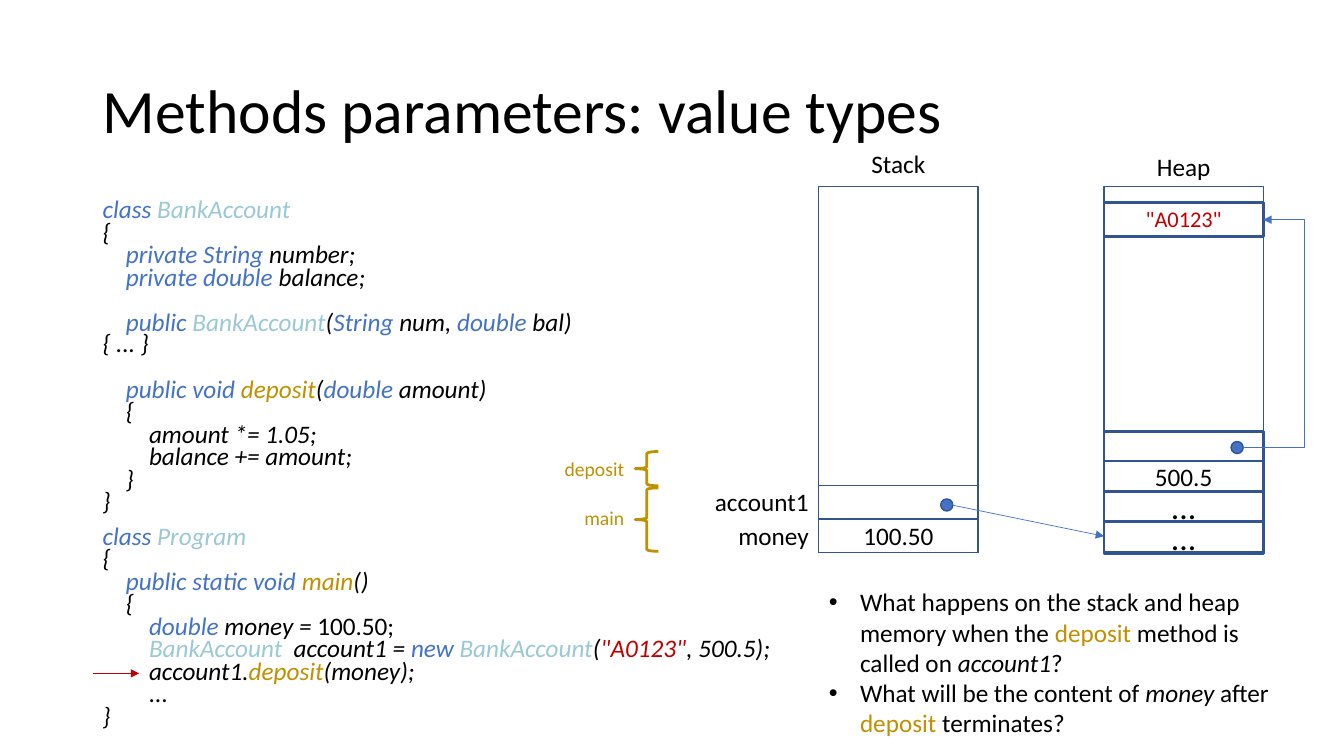
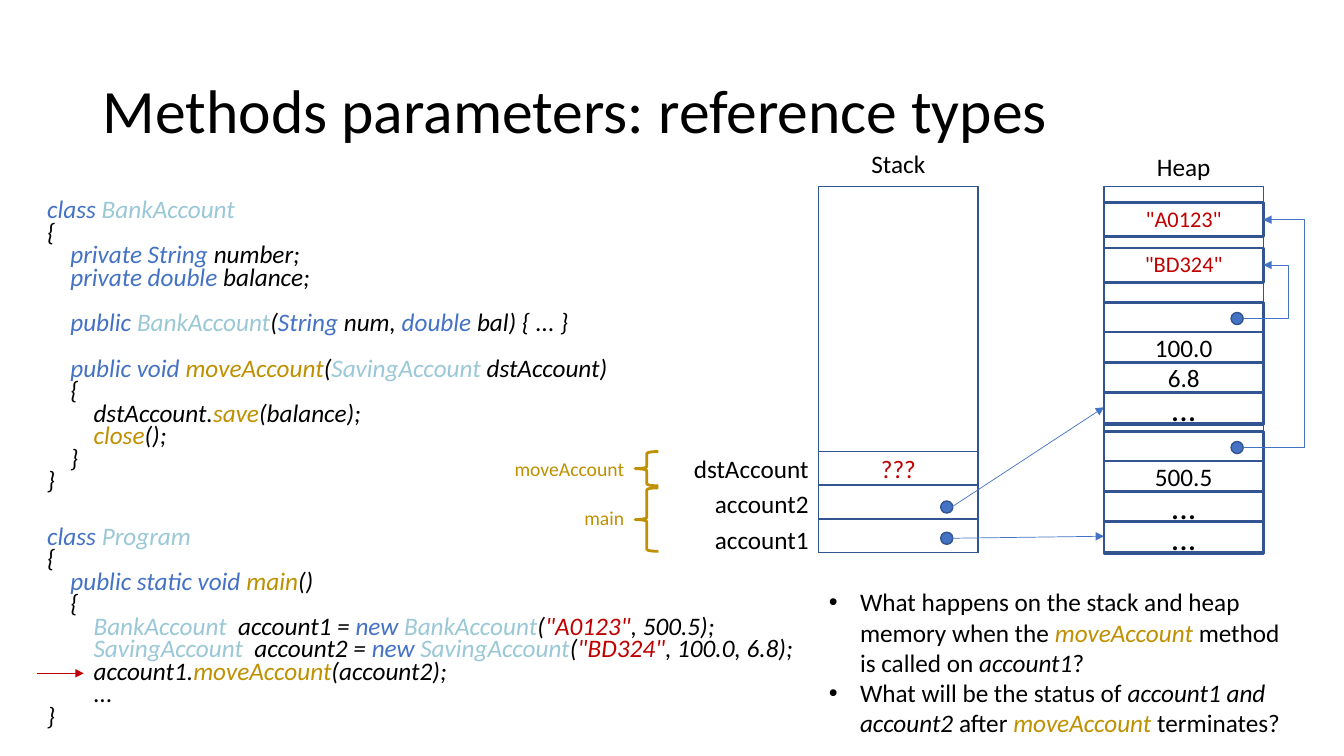
import pptx
import pptx.util
import pptx.dml.color
import pptx.enum.shapes
import pptx.enum.text
import pptx.oxml.ns
import lxml.etree

Inches, Pt = pptx.util.Inches, pptx.util.Pt
Kind = pptx.enum.shapes.MSO_SHAPE
Link = pptx.enum.shapes.MSO_CONNECTOR
Align = pptx.enum.text.PP_ALIGN
Anchor = pptx.enum.text.MSO_ANCHOR
Fit = pptx.enum.text.MSO_AUTO_SIZE
qn = pptx.oxml.ns.qn

MAIN_HEAD = """`kclass `tProgram
{
    `kpublic static void `mmain`n()
    {
"""
MAIN_TAIL = """
        ...
}"""
CLASS_HEAD = """`kclass `tBankAccount
{
    `kprivate String `nnumber;
    `kprivate double `nbalance;

    `kpublic `tBankAccount`n(`kString `nnum, `kdouble `nbal) { ... }

"""
CLASS_TAIL = """
    }
}"""

FIRST = (4.28, ["", "500.5", "...", "..."], 2.01, '"A0123"', 12.94)
SECOND = (3.0, ["", "100.0", "6.8", "..."], 2.46, '"BD324"', 12.78)

SLIDES = [
    {
        "title": "Methods parameters: value types",
        "left": 0.92,
        "width": 4.9,
        "class": CLASS_HEAD + """    `kpublic void `mdeposit`n(`kdouble `namount)
    {
        amount *= 1.05;
        balance += amount;""" + CLASS_TAIL,
        "main": MAIN_HEAD + """        `kdouble `nmoney = `p100.50;
        `tBankAccount  `naccount1 = `knew `tBankAccount`n(`s"A0123"`n, 500.5);
        account1.`mdeposit`n(money);""" + MAIN_TAIL,
        "calls": ["main", "deposit"],
        "stack": [("money", 5.11, "100.50", "p"), ("account1", 4.78, "", "p")],
        "refs": [(4.95, 5.32)],
        "heap": [FIRST],
        "asks": [
            "What happens on the stack and heap memory when the `ddeposit `pmethod is called on `naccount1`p?",
            "What will be the content of `nmoney`p after `ddeposit `pterminates?",
        ],
    },
    {
        "title": "Methods parameters: reference types",
        "left": 0.37,
        "width": 5.9,
        "class": CLASS_HEAD + """    `kpublic void `mmoveAccount`n(`tSavingAccount `ndstAccount)
    {
        dstAccount.`msave`n(balance);
        `mclose`n();""" + CLASS_TAIL,
        "main": MAIN_HEAD + """        `tBankAccount  `naccount1 = `knew `tBankAccount`n(`s"A0123"`n, 500.5);
        `tSavingAccount  `naccount2 = `knew `tSavingAccount`n(`s"BD324"`n, 100.0, 6.8);
        account1.`mmoveAccount`n(account2);""" + MAIN_TAIL,
        "calls": ["main", "moveAccount"],
        "stack": [("account1", 5.15, "", "p"), ("account2", 4.8, "", "p"), ("dstAccount", 4.45, "???", "r")],
        "refs": [(5.28, 5.32), (4.97, 4.04)],
        "heap": [FIRST, SECOND],
        "asks": [
            "What happens on the stack and heap memory when the `mmoveAccount `pmethod is called on `naccount1`p?",
            "What will be the status of `naccount1 and account2`p after `mmoveAccount `pterminates?",
        ],
    },
]


class Theme:
    font = "Calibri"
    black, blue, edge = "000000", "4472C4", "325491"
    aqua, gold, red = "9AC8D6", "BF9000", "C00000"
    head, text, dots, name, call = 44, 18, 24, 16, 14
    thin, line, thick = 0.5, 1, 2
    styles = {
        "n": (black, True), "p": (black, False), "k": (blue, True), "t": (aqua, True),
        "m": (gold, True), "d": (gold, False), "s": (red, True), "r": (red, False),
    }


STACK, HEAP, WIDE = 8.12, 10.95, 1.58
TOP, TALL = 1.85, 3.63
CELL, FIELD, STEP = 0.33, 0.29, 0.3
DOT, TAB = 0.12, 0.23
BRACES = [(4.84, 0.63, 4.97), (4.48, 0.34, 4.48)]


def put(item, values):
    for key, value in values.items():
        setattr(item, key, value)


def rgb(code):
    return pptx.dml.color.RGBColor.from_string(code)


def box(left, top, width, height):
    return [Inches(n) for n in (left, top, width, height)]


def write(par, text, base="p", size=Theme.text, **form):
    put(par, form)
    for piece in f"`{base}{text}".split("`")[1:]:
        if piece[1:]:
            run = par.add_run()
            run.text = piece[1:]
            tint, slant = Theme.styles[piece[0]]
            put(run.font, {"name": Theme.font, "size": Pt(size), "italic": slant})
            run.font.color.rgb = rgb(tint)


def frame(shape, anchor=Anchor.TOP):
    put(shape.text_frame, {"word_wrap": True, "auto_size": Fit.NONE, "vertical_anchor": anchor})
    return shape.text_frame


def label(slide, area, text, **form):
    area = slide.shapes.add_textbox(*box(*area))
    write(frame(area).paragraphs[0], text, **form)


def draw(slide, kind, area, tint=Theme.edge, width=Theme.line, fill=None):
    shape = slide.shapes.add_shape(kind, *box(*area))
    shape.shadow.inherit = False
    if fill:
        shape.fill.solid()
        shape.fill.fore_color.rgb = rgb(fill)
    else:
        shape.fill.background()
    shape.line.color.rgb = rgb(tint)
    shape.line.width = Pt(width)
    return shape


def cell(slide, area, text="", base="p", size=Theme.text, anchor=Anchor.MIDDLE, width=Theme.line):
    shape = draw(slide, Kind.RECTANGLE, area, width=width)
    if text:
        write(frame(shape, anchor).paragraphs[0], text, base, size, alignment=Align.CENTER)


def dot(slide, left, top):
    draw(slide, Kind.OVAL, (left, top, DOT, DOT), fill=Theme.blue)


def arrow(slide, start, end, tint=Theme.blue, turn=None):
    kind = Link.ELBOW if turn else Link.STRAIGHT
    link = slide.shapes.add_connector(kind, *box(*start, *end))
    link.line.color.rgb = rgb(tint)
    link.line.width = Pt(Theme.thin)
    props = link._element.spPr
    lxml.etree.SubElement(props.find(qn("a:ln")), qn("a:tailEnd"), type="triangle")
    lxml.etree.SubElement(props, qn("a:effectLst"))
    if turn:
        ratio = (turn - start[0]) / (end[0] - start[0])
        guides = props.find(qn("a:prstGeom")).find(qn("a:avLst"))
        lxml.etree.SubElement(guides, qn("a:gd"), name="adj1", fmla=f"val {round(ratio * 100000)}")


def indent(par, left, first):
    props = par._p.get_or_add_pPr()
    props.set("marL", str(Inches(left)))
    props.set("indent", str(Inches(first)))


def paras(body, lines):
    for at, line in enumerate(lines):
        yield (body.add_paragraph() if at else body.paragraphs[0]), line


def code(slide, area, text):
    body = frame(slide.shapes.add_textbox(*box(*area)))
    rows, gap = [], 1
    for line in text.splitlines():
        if line:
            rows.append((line, gap))
        gap = 1 if line else 17.4
    for par, (line, gap) in paras(body, rows):
        bare = line.lstrip()
        write(par, bare, "n", line_spacing=0.7, space_before=Pt(gap))
        indent(par, 0, (len(line) - len(bare)) // 4 * TAB)


def holder(shape, area, anchor=Anchor.TOP):
    put(shape, dict(zip(("left", "top", "width", "height"), box(*area))))
    return frame(shape, anchor)


def stack(slide, page):
    cell(slide, (STACK, TOP, WIDE, TALL))
    label(slide, (STACK, 1.42, WIDE, 0.4), "Stack", alignment=Align.CENTER)
    for at, (name, top, value, base) in enumerate(page["stack"]):
        cell(slide, (STACK, 5.15 - at * 0.335, WIDE, CELL), value, base)
        label(slide, (6.52, top, 1.6, 0.4), name, alignment=Align.RIGHT)
    for top, goal in page["refs"]:
        dot(slide, 9.33, top)
        arrow(slide, (9.44, top + DOT / 2), (HEAP, goal))
    for name, (top, tall, mark) in zip(page["calls"], BRACES):
        draw(slide, Kind.LEFT_BRACE, (6.3, top, TAB, tall), Theme.gold, Theme.thick)
        label(slide, (4.79, mark, 1.5, 0.34), name, base="d", size=Theme.call, alignment=Align.RIGHT)


def heap(slide, page):
    cell(slide, (HEAP, TOP, WIDE, TALL))
    label(slide, (HEAP, 1.45, WIDE, 0.4), "Heap", alignment=Align.CENTER)
    for top, values, high, name, turn in page["heap"]:
        for at, value in enumerate(values):
            size = Theme.dots if value == "..." else Theme.text
            cell(slide, (HEAP, top + at * STEP, WIDE, FIELD), value, size=size)
        cell(slide, (HEAP, top, WIDE, 1.21), width=Theme.thick)
        cell(slide, (HEAP, high, WIDE, 0.34), name, "r", Theme.name, Anchor.BOTTOM, Theme.thick)
        dot(slide, 12.21, top + 0.1)
        arrow(slide, (12.33, top + 0.16), (HEAP + WIDE, high + 0.17), turn=turn)


def build(deck, page):
    slide = deck.slides.add_slide(deck.slide_layouts[1])
    title, body = slide.placeholders
    head = holder(title, (0.92, 0.4, 11.5, 1.45), Anchor.MIDDLE)
    write(head.paragraphs[0], page["title"], size=Theme.head, alignment=Align.LEFT, line_spacing=0.9)
    for par, line in paras(holder(body, (STACK, 5.77, 4.75, 1.62)), page["asks"]):
        write(par, line, space_before=Pt(0))
        indent(par, 0.31, -0.31)
    left = page["left"]
    code(slide, (left, 1.95, page["width"], 3.25), page["class"])
    code(slide, (left, 5.19, 7.62, 2.14), page["main"])
    arrow(slide, (left, 6.68), (left + 0.46, 6.68), Theme.red)
    stack(slide, page)
    heap(slide, page)


def main():
    deck = pptx.Presentation()
    put(deck, {"slide_width": Inches(13.33), "slide_height": Inches(7.5)})
    for page in SLIDES:
        build(deck, page)
    deck.save("out.pptx")


if __name__ == "__main__":
    main()
